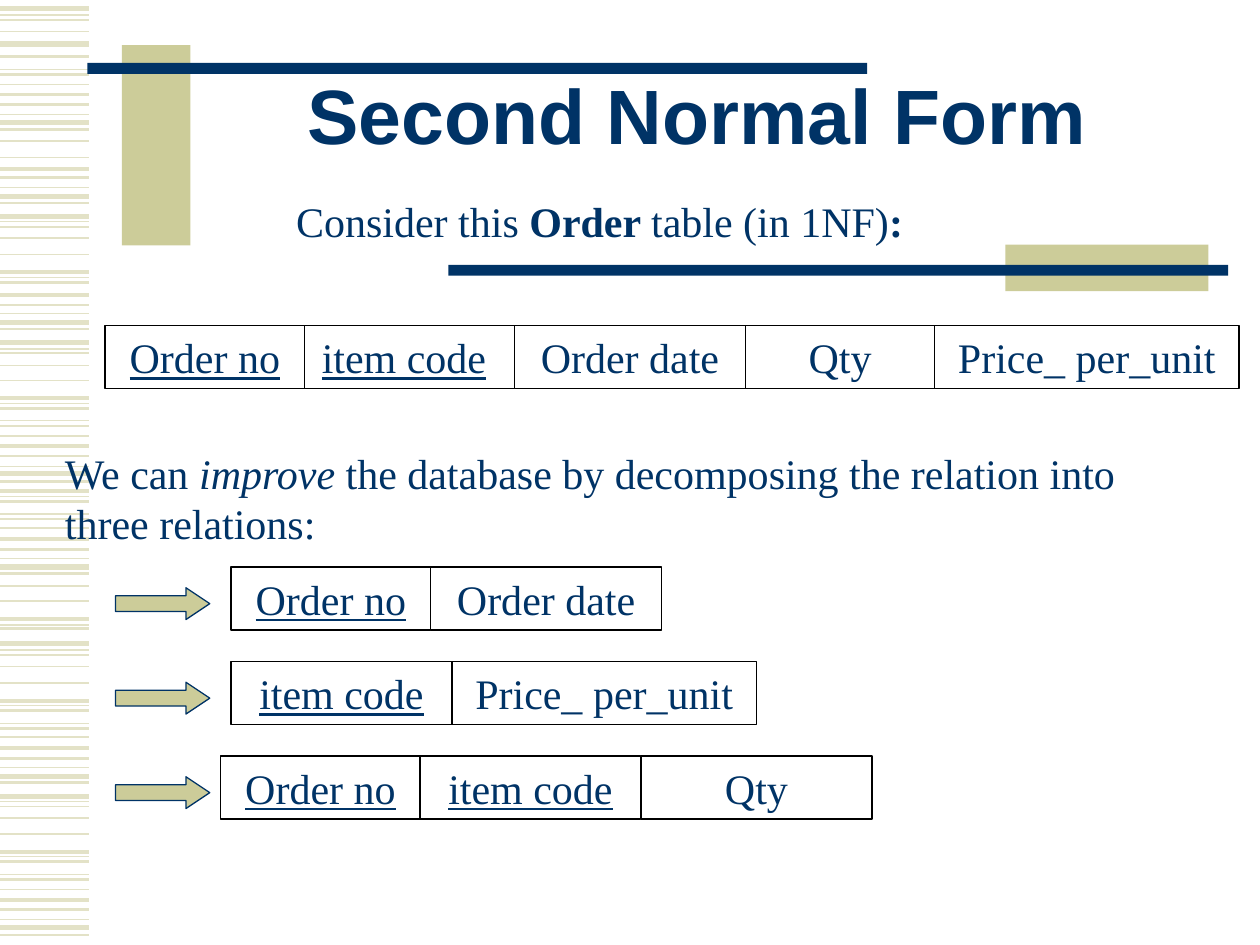
from lxml import etree
from pptx import Presentation
from pptx.dml.color import RGBColor
from pptx.enum import shapes, text
from pptx.oxml import ns
from pptx.util import Cm, Pt

COLORS = {"navy": "003366", "khaki": "CCCC99", "stripe": "E3E2C7",
          "white": "FFFFFF", "black": "000000"}

STRIPE_UNIT = 0.0254
STRIPES = {
    0.75: [12, 55, 91, 149, 176, 220, 249, 277, 320, 334, 370, 394, 408, 443,
           496, 516, 560, 574, 609, 636, 680, 694, 730],
    1: [16, 25, 67, 112, 125, 180, 189, 202, 280, 290, 302, 346, 419, 465,
        477, 520, 529, 542, 585, 640, 649, 662, 706],
    1.5: [45, 59, 83, 103, 141, 161, 224, 242, 261, 324, 338, 362, 382, 398,
          412, 436, 455, 499, 564, 578, 602, 621, 684, 698, 722, 742],
    2.25: [75, 134, 216, 234, 316, 354, 390, 428, 491, 556, 594, 676, 714],
    3: [7, 35, 97, 156, 172, 256, 272, 376, 450, 511, 616, 632, 736],
}

ORDER_NO = ("Order no", 4.02, True)
ITEM_CODE = ("item code", 4.45, True)
ORDER_DATE = ("Order date", 4.66, False)
PRICE = ("Price_ per_unit", 6.14, False)


def color(name):
    return RGBColor.from_string(COLORS[name])


def add_run(paragraph, content, size=24, font="Times New Roman", bold=False,
            italic=False, underline=False):
    run = paragraph.add_run()
    run.text = content
    run.font.size = Pt(size)
    run.font.name = font
    run.font.bold = bold
    run.font.italic = italic
    run.font.underline = underline
    run.font.color.rgb = color("navy")


class NormalFormSlide:
    row_height = 1.27

    def __init__(self, slide):
        self.shapes = slide.shapes

    def stripe(self, y, weight):
        line = self.shapes.add_connector(
            shapes.MSO_CONNECTOR.STRAIGHT, Cm(0), Cm(y), Cm(1.8), Cm(y))
        line.line.color.rgb = color("stripe")
        line.line.width = Pt(weight)
        etree.SubElement(line._element.spPr, ns.qn("a:effectLst"))

    def block(self, left, top, width, height, fill, outline=None,
              preset=shapes.MSO_SHAPE.RECTANGLE):
        block = self.shapes.add_shape(
            preset, Cm(left), Cm(top), Cm(width), Cm(height))
        block.shadow.inherit = False
        block.fill.solid()
        block.fill.fore_color.rgb = color(fill)
        if outline:
            block.line.color.rgb = color(outline)
            block.line.width = Pt(0.75)
        else:
            block.line.fill.background()
        return block

    def arrow(self, top):
        arrow = self.block(2.33, top, 1.9, 0.64, "khaki", "navy",
                           shapes.MSO_SHAPE.RIGHT_ARROW)
        arrow.adjustments[0] = 0.5
        arrow.adjustments[1] = 0.75

    def relation(self, left, top, *fields):
        for name, width, is_key in fields:
            field = self.block(left, top, width, self.row_height,
                               "white", "black")
            paragraph = field.text_frame.paragraphs[0]
            paragraph.alignment = text.PP_ALIGN.CENTER
            add_run(paragraph, name, underline=is_key)
            left += width

    def paragraph(self, left, top, width, height, *runs, wrap=True,
                  anchor=text.MSO_ANCHOR.TOP, align=text.PP_ALIGN.LEFT,
                  spacing=1.0):
        box = self.shapes.add_textbox(Cm(left), Cm(top), Cm(width), Cm(height))
        frame = box.text_frame
        frame.word_wrap = wrap
        frame.vertical_anchor = anchor
        paragraph = frame.paragraphs[0]
        paragraph.alignment = align
        paragraph.line_spacing = spacing
        for content, style in runs:
            add_run(paragraph, content, **style)


def main():
    deck = Presentation()
    deck.slide_width, deck.slide_height = Cm(25.4), Cm(19.05)
    page = NormalFormSlide(deck.slides.add_slide(deck.slide_layouts[6]))

    for weight, positions in STRIPES.items():
        for position in positions:
            page.stripe(position * STRIPE_UNIT, weight)

    page.block(2.46, 0.91, 1.38, 4.04, "khaki")
    page.block(1.76, 1.27, 15.72, 0.22, "navy")
    page.block(20.27, 4.93, 4.09, 0.94, "khaki")
    page.block(9.04, 5.34, 15.72, 0.22, "navy")

    page.paragraph(3.81, 1.7, 20.5, 1.47,
                   ("Second Normal Form",
                    {"size": 44, "font": "Arial", "bold": True}),
                   anchor=text.MSO_ANCHOR.MIDDLE,
                   align=text.PP_ALIGN.CENTER, spacing=0.85)
    page.paragraph(5.72, 3.81, 12.85, 1.28,
                   ("Consider this", {}), (" Order ", {"bold": True}),
                   ("table (in 1NF)", {}), (":", {"bold": True}), wrap=False)

    page.relation(5.92, 6.56, ITEM_CODE, ORDER_DATE, ("Qty", 3.81, False), PRICE)
    page.relation(2.12, 6.56, ORDER_NO)

    page.paragraph(1.06, 8.89, 23.28, 2.31,
                   ("We can ", {}), ("improve", {"italic": True}),
                   (" the database by decomposing the relation into"
                    " three relations:", {}))

    decomposed = [
        (4.66, [ORDER_NO, ORDER_DATE]),
        (4.66, [ITEM_CODE, PRICE]),
        (4.45, [ORDER_NO, ITEM_CODE, ("Qty", 4.66, False)]),
    ]
    for index, (left, fields) in enumerate(decomposed):
        top = 11.43 + index * 1.5 * page.row_height
        page.arrow(top + 0.42)
        page.relation(left, top, *fields)

    deck.save("out.pptx")


if __name__ == "__main__":
    main()
